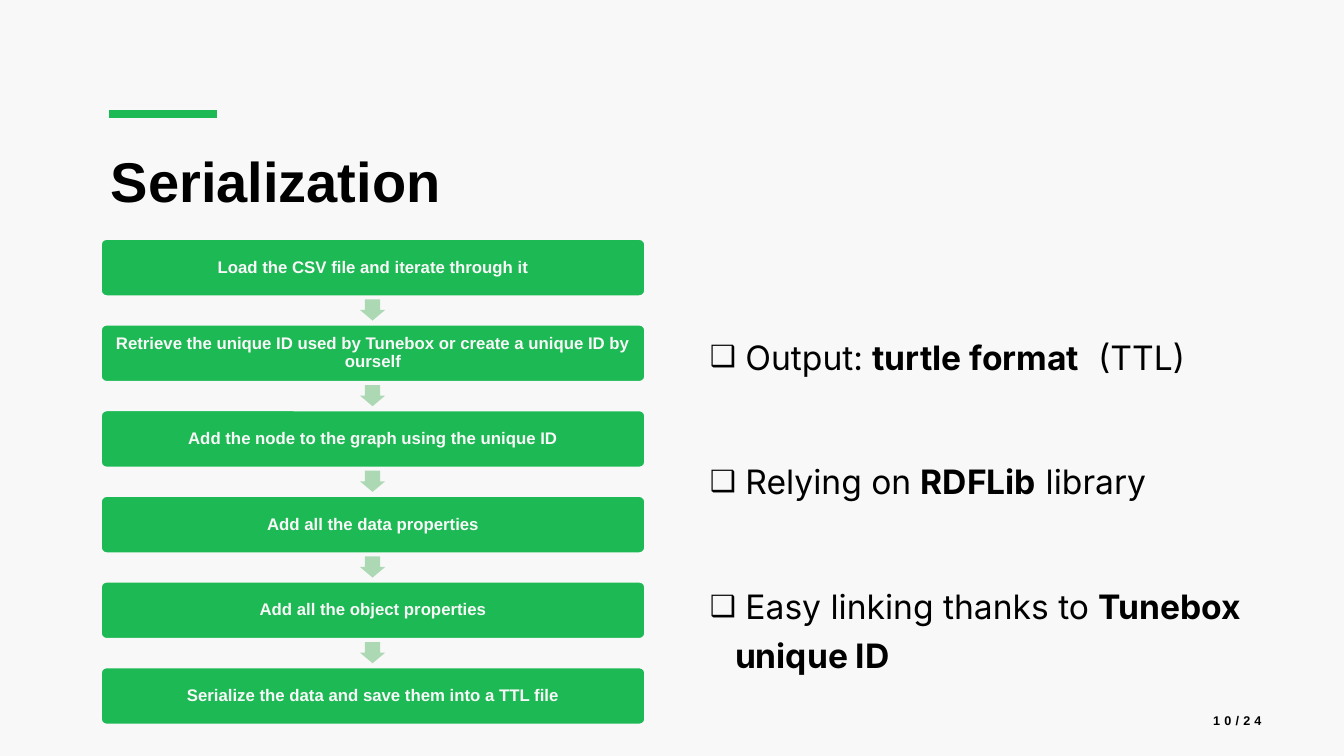
from lxml import etree
from pptx import Presentation
from pptx.dml.color import RGBColor
from pptx.enum.shapes import MSO_CONNECTOR, MSO_SHAPE
from pptx.enum.text import MSO_ANCHOR, MSO_AUTO_SIZE, PP_ALIGN
from pptx.oxml.ns import qn
from pptx.util import Inches, Pt

GREEN = RGBColor(0x1D, 0xB9, 0x54)
PALE_GREEN = RGBColor(0xAC, 0xD9, 0xB4)
OFF_WHITE = RGBColor(0xF8, 0xF8, 0xF8)
BLACK = RGBColor(0, 0, 0)
ROUND_RECT, DOWN_ARROW = MSO_SHAPE.ROUNDED_RECTANGLE, MSO_SHAPE.DOWN_ARROW
STRAIGHT = MSO_CONNECTOR.STRAIGHT
TOP, MIDDLE = MSO_ANCHOR.TOP, MSO_ANCHOR.MIDDLE
LEFT, CENTER, RIGHT = PP_ALIGN.LEFT, PP_ALIGN.CENTER, PP_ALIGN.RIGHT
NO_AUTOFIT = MSO_AUTO_SIZE.NONE

STEPS = [
    "Load the CSV file and iterate through it",
    "Retrieve the unique ID used by Tunebox or create a unique ID by ourself",
    "Add the node to the graph using the unique ID",
    "Add all the data properties",
    "Add all the object properties",
    "Serialize the data and save them into a TTL file",
]
# Each point is a list of (text, bold) runs
POINTS = [
    [(" Output: ", False), ("turtle format", True), ("  (TTL)", False)],
    [(" Relying on ", False), ("RDFLib", True), (" library", False)],
    [(" Easy linking thanks to ", False), ("Tunebox unique ID", True)],
]


def add_run(p, text, size, color, font="Arial", bold=True):
    r = p.add_run()
    r.text = text
    r.font.name = font
    r.font.size = Pt(size)
    r.font.bold = bold
    r.font.color.rgb = color
    return r


def place(shape, left, top, width, height):
    shape.left, shape.top = Inches(left), Inches(top)
    shape.width, shape.height = Inches(width), Inches(height)


prs = Presentation()
prs.slide_width, prs.slide_height = Inches(13.33), Inches(7.5)
s = prs.slides.add_slide(prs.slide_layouts[1])
s.background.fill.solid()
s.background.fill.fore_color.rgb = OFF_WHITE

# Accent line and title
accent = s.shapes.add_connector(STRAIGHT, Inches(1.08), Inches(1.13), Inches(2.15), Inches(1.13))
accent.line.color.rgb = GREEN
accent.line.width = Pt(6)
etree.SubElement(accent._element.spPr, qn("a:effectLst"))

title = s.shapes.title
place(title, 1, 1.38, 5.67, 0.82)
tf = title.text_frame
tf.auto_size = NO_AUTOFIT
tf.vertical_anchor = MIDDLE
p = tf.paragraphs[0]
p.alignment = LEFT
add_run(p, "Serialization", 40, BLACK)

# Bulleted points
body = s.placeholders[1]
place(body, 6.94, 3.21, 5.98, 3.59)
tf = body.text_frame
tf.auto_size = NO_AUTOFIT
tf.vertical_anchor = TOP
for i, point in enumerate(POINTS):
    p = tf.add_paragraph() if i else tf.paragraphs[0]
    p.alignment = LEFT
    p.line_spacing = 1.2
    p.space_before = Pt(54.5 if i else 10)
    pPr = p._p.get_or_add_pPr()
    pPr.set("marL", str(Inches(0.25)))
    pPr.set("indent", str(Inches(-0.25)))
    etree.SubElement(pPr, qn("a:buSzPct"), val="87000")
    etree.SubElement(pPr, qn("a:buChar"), char="❑")
    for text, bold in point:
        add_run(p, text, 24, BLACK, "Inter", bold)

# Process steps with an arrow between neighbours
for i, step in enumerate(STEPS):
    top = 2.37 + 0.85 * i
    box = s.shapes.add_shape(ROUND_RECT, Inches(1), Inches(top), Inches(5.4), Inches(0.57))
    box.adjustments[0] = 0.1
    box.shadow.inherit = False
    box.fill.solid()
    box.fill.fore_color.rgb = GREEN
    box.line.color.rgb = OFF_WHITE
    box.line.width = Pt(1.5)
    tf = box.text_frame
    tf.word_wrap = True
    tf.vertical_anchor = MIDDLE
    tf.margin_left = tf.margin_right = tf.margin_top = tf.margin_bottom = Inches(0.06)
    p = tf.paragraphs[0]
    p.alignment = CENTER
    p.line_spacing = 0.9
    add_run(p, step, 12, OFF_WHITE)

    if i < len(STEPS) - 1:
        arrow = s.shapes.add_shape(DOWN_ARROW, Inches(3.57), Inches(top + 0.6), Inches(0.25), Inches(0.21))
        arrow.adjustments[0] = 0.6
        arrow.adjustments[1] = 0.5
        arrow.shadow.inherit = False
        arrow.fill.solid()
        arrow.fill.fore_color.rgb = PALE_GREEN
        arrow.line.fill.background()

# Page number
page = s.shapes.add_textbox(Inches(11.82), Inches(6.95), Inches(0.79), Inches(0.4))
tf = page.text_frame
tf.word_wrap = True
tf.vertical_anchor = MIDDLE
p = tf.paragraphs[0]
p.alignment = RIGHT
r = add_run(p, "10/24", 9, BLACK)
r.font._element.set("spc", "300")

prs.save("out.pptx")
